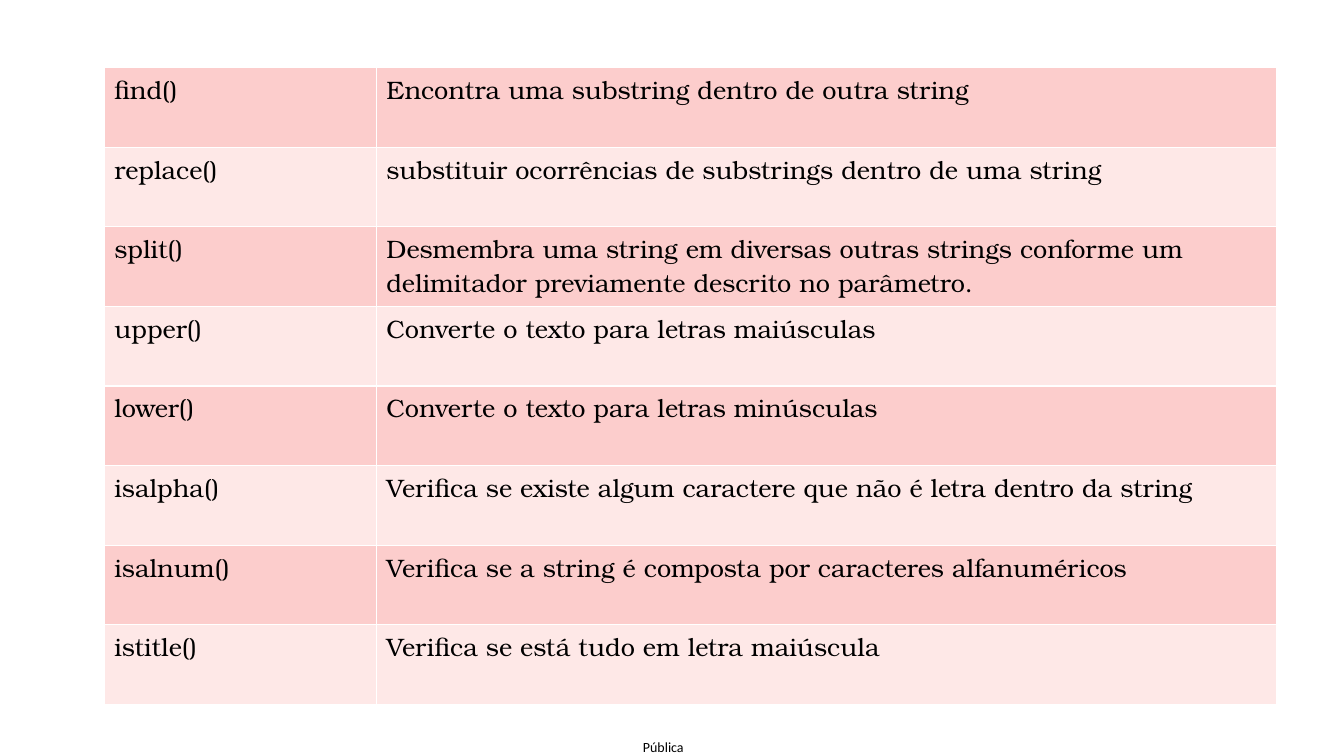
from lxml.etree import SubElement
from pptx import Presentation
from pptx.dml.color import RGBColor
from pptx.enum.text import PP_ALIGN
from pptx.oxml.ns import qn
from pptx.util import Pt

METHODS = [
    ("find()", "Encontra uma substring dentro de outra string"),
    ("replace()", "substituir ocorrências de substrings dentro de uma string"),
    ("split()", "Desmembra uma string em diversas outras strings conforme um "
                "delimitador previamente descrito no parâmetro."),
    ("upper()", "Converte o texto para letras maiúsculas"),
    ("lower()", "Converte o texto para letras minúsculas"),
    ("isalpha()", "Verifica se existe algum caractere que não é letra dentro da string"),
    ("isalnum()", "Verifica se a string é composta por caracteres alfanuméricos"),
    ("istitle()", "Verifica se está tudo em letra maiúscula"),
]
BANDS = ("FCCDCC", "FEE8E7")
NAME_SHARE = 0.232


def rgb(value):
    return RGBColor.from_string(value)


def style_text(tf, font, size):
    for p in tf.paragraphs:
        for r in p.runs:
            r.font.name = font
            r.font.size = Pt(size)
            r.font.color.rgb = rgb("000000")


def add_borders(cell, color, width):
    tcPr = cell._tc.get_or_add_tcPr()
    for side in ("a:lnL", "a:lnR", "a:lnT", "a:lnB"):
        ln = SubElement(tcPr, qn(side), w=str(Pt(width)))
        fill = SubElement(ln, qn("a:solidFill"))
        SubElement(fill, qn("a:srgbClr"), val=color)


def add_method_table(s, left, top, width, height):
    shape = s.shapes.add_table(len(METHODS), 2, Pt(left), Pt(top), Pt(width), Pt(height))
    table = shape.table
    table.first_row = False
    table.columns[0].width = Pt(width * NAME_SHARE)
    table.columns[1].width = Pt(width * (1 - NAME_SHARE))
    for i, texts in enumerate(METHODS):
        table.rows[i].height = Pt(height / len(METHODS))
        for cell, text in zip(table.rows[i].cells, texts):
            cell.text_frame.text = text
            style_text(cell.text_frame, "TeX Gyre Bonum", 18)
            add_borders(cell, "FFFFFF", 1)
            cell.fill.solid()
            cell.fill.fore_color.rgb = rgb(BANDS[i % 2])


def add_classification(s, left, top, width, height):
    tf = s.shapes.add_textbox(Pt(left), Pt(top), Pt(width), Pt(height)).text_frame
    tf.margin_left = tf.margin_right = tf.margin_top = tf.margin_bottom = 0
    tf.text = "Pública"
    tf.paragraphs[0].alignment = PP_ALIGN.CENTER
    style_text(tf, "Calibri", 10)


def main():
    prs = Presentation()
    prs.slide_width, prs.slide_height = Pt(960), Pt(540)
    s = prs.slides.add_slide(prs.slide_layouts[6])
    add_classification(s, 458, 527.8, 31.7, 12.2)
    add_method_table(s, 74.5, 48.3, 837.5, 455)
    prs.save("out.pptx")


if __name__ == "__main__":
    main()
